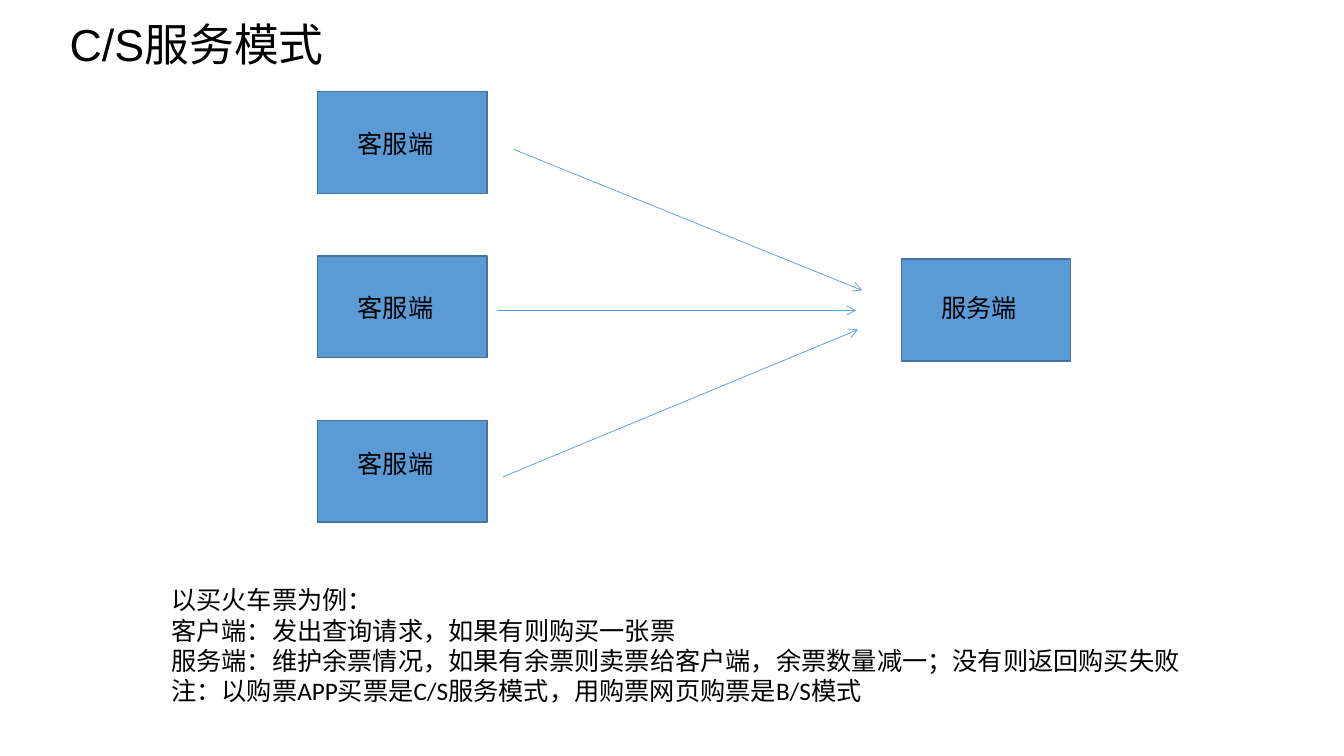
from pptx import Presentation
from pptx.dml.color import RGBColor
from pptx.enum.shapes import MSO_CONNECTOR, MSO_SHAPE
from pptx.enum.text import MSO_ANCHOR, MSO_AUTO_SIZE, PP_ALIGN
from pptx.oxml.ns import qn
from pptx.util import Inches, Pt
from lxml import etree

STRAIGHT = MSO_CONNECTOR.STRAIGHT
RECTANGLE = MSO_SHAPE.RECTANGLE
TOP = MSO_ANCHOR.TOP
NO_AUTOFIT = MSO_AUTO_SIZE.NONE
LEFT = PP_ALIGN.LEFT

BLUE, DARK_BLUE, BLACK = "5B9BD5", "43739E", "000000"
NODE_W, NODE_H = 1.68, 1.01
CLIENT_PITCH = 1.63
TITLE_FONT = {"name": "Arial", "size": Pt(32), "bold": False}
TEXT_FONT = {"name": "Calibri", "size": Pt(18)}
FRAME = {"word_wrap": True, "auto_size": NO_AUTOFIT, "vertical_anchor": TOP,
         "margin_left": Inches(0.1), "margin_right": Inches(0.1),
         "margin_top": Inches(0.05), "margin_bottom": Inches(0.05)}

CLIENT_LABEL_DROPS = [0.31, 0.31, 0.23]
REQUESTS = [
    ((5.09, 1.48), (8.55, 2.88)),
    ((4.93, 3.08), (8.49, 3.08)),
    ((4.99, 4.73), (8.51, 3.27)),
]
EXAMPLE = [
    "以买火车票为例：",
    "客户端：发出查询请求，如果有则购买一张票",
    "服务端：维护余票情况，如果有余票则卖票给客户端，余票数量减一；没有则返回购买失败",
    "注：以购票APP买票是C/S服务模式，用购票网页购票是B/S模式",
]


def color(value):
    return RGBColor.from_string(value)


def apply(target, values):
    for name, value in values.items():
        setattr(target, name, value)


def fill_text(sp, lines, font):
    tf = sp.text_frame
    apply(tf, FRAME)
    for i, line in enumerate(lines):
        p = tf.add_paragraph() if i else tf.paragraphs[0]
        p.alignment = LEFT
        r = p.add_run()
        r.text = line
        apply(r.font, font)
        r.font.color.rgb = color(BLACK)


def add_title(s, text, x, y, w, h):
    sp = s.shapes.title
    apply(sp, {"left": Inches(x), "top": Inches(y),
               "width": Inches(w), "height": Inches(h)})
    fill_text(sp, [text], TITLE_FONT)


def add_text(s, lines, x, y, w, h):
    sp = s.shapes.add_textbox(Inches(x), Inches(y), Inches(w), Inches(h))
    fill_text(sp, lines, TEXT_FONT)


def add_node(s, label, x, y, label_drop):
    sp = s.shapes.add_shape(RECTANGLE, Inches(x), Inches(y),
                            Inches(NODE_W), Inches(NODE_H))
    sp.shadow.inherit = False
    sp.fill.solid()
    sp.fill.fore_color.rgb = color(BLUE)
    sp.line.color.rgb = color(DARK_BLUE)
    sp.line.width = Pt(1)
    add_text(s, [label], x + 0.3, y + label_drop, NODE_W - 0.6, 0.4)


def add_clients(s, x, y):
    for i, drop in enumerate(CLIENT_LABEL_DROPS):
        add_node(s, "客服端", x, y + i * CLIENT_PITCH, drop)


def add_arrow(s, start, end):
    points = [Inches(v) for v in start + end]
    line = s.shapes.add_connector(STRAIGHT, *points)
    line.line.color.rgb = color(BLUE)
    line.line.width = Pt(0.5)
    etree.SubElement(line.line._get_or_add_ln(), qn("a:tailEnd"), type="arrow")
    etree.SubElement(line._element.spPr, qn("a:effectLst"))


def main():
    prs = Presentation()
    prs.slide_width, prs.slide_height = Inches(13.33), Inches(7.5)
    s = prs.slides.add_slide(prs.slide_layouts[5])
    add_title(s, "C/S服务模式", 0.59, 0.12, 2.99, 0.64)
    add_clients(s, 3.15, 0.91)
    for start, end in REQUESTS:
        add_arrow(s, start, end)
    add_node(s, "服务端", 8.94, 2.57, 0.28)
    add_text(s, EXAMPLE, 1.6, 5.75, 10.45, 1.31)
    prs.save("out.pptx")


if __name__ == "__main__":
    main()
